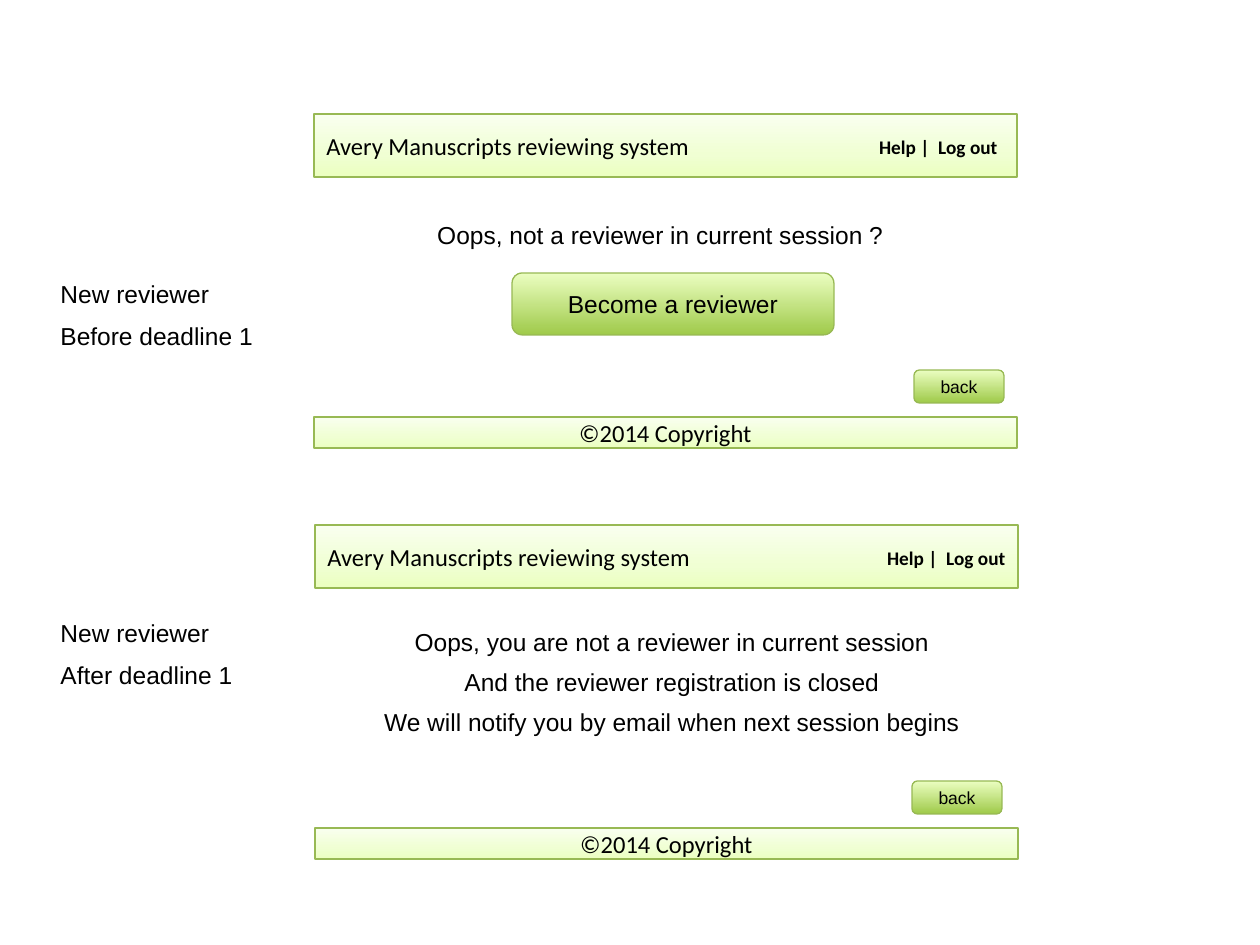
from lxml.etree import SubElement
from pptx import Presentation
from pptx.dml.color import RGBColor
from pptx.enum.shapes import MSO_SHAPE as SHAPE
from pptx.enum.text import MSO_ANCHOR as ANCHOR, PP_ALIGN as ALIGN
from pptx.oxml.ns import qn
from pptx.util import Pt

PX = 914400 / 126
BAR = [(0, "EBFFBF"), (35, "F0FFD3"), (100, "F9FFEF")]
BUTTON = [(0, "9FCA4A"), (100, "EBFEC1")]


def write(box, *lines, size=14, font="Arial", bold=False, align=ALIGN.LEFT,
          anchor=ANCHOR.MIDDLE, gap=0):
    frame = box.text_frame
    frame.word_wrap = True
    frame.vertical_anchor = anchor
    frame.text = "\n".join(lines)
    for number, para in enumerate(frame.paragraphs):
        para.alignment = align
        para.space_before = Pt(gap if number else 0)
        span = para.runs[0]
        span.font.size = Pt(size)
        span.font.name = font
        span.font.bold = bold
        span.font.color.rgb = RGBColor.from_string("000000")


def add_box(left, top, width, height, kind=None, stops=None):
    """Add a text box, or a preset shape with a bottom-to-top gradient."""
    place = [round(value * PX) for value in (left, top, width, height)]
    if kind is None:
        return page.shapes.add_textbox(*place)
    box = page.shapes.add_shape(kind, *place)
    box.shadow.inherit = False
    box.line.color.rgb = RGBColor.from_string("98B954")
    box.line.width = Pt(0.75)
    box.fill.gradient()
    box.fill.gradient_angle = 90
    stop_list = box._element.spPr.find(qn("a:gradFill")).find(qn("a:gsLst"))
    stop_list.clear()
    for position, color in stops:
        stop = SubElement(stop_list, qn("a:gs"), pos=str(position * 1000))
        SubElement(stop, qn("a:srgbClr"), val=color)
    return box


deck = Presentation()
deck.slide_width = round(1260 * PX)
deck.slide_height = round(945 * PX)
page = deck.slides.add_slide(deck.slide_layouts[6])

# Two screens: left, top, menu left, back button left, label top, deadline label
screens = [
    (314, 114, 829, 914, 273, "Before deadline 1"),
    (315, 525, 837, 912, 612, "After deadline 1"),
]
for left, top, menu_left, back_left, label_top, deadline in screens:
    header = add_box(left, top, 703, 63, SHAPE.RECTANGLE, BAR)
    write(header, "Avery Manuscripts reviewing system", font="Calibri")
    menu = add_box(menu_left, top + 19, 181, 28)
    write(menu, "Help |  Log out", size=11, font="Calibri", bold=True, align=ALIGN.RIGHT)
    back = add_box(back_left, top + 256, 90, 33, SHAPE.ROUNDED_RECTANGLE, BUTTON)
    write(back, "back", size=10, align=ALIGN.CENTER)
    footer = add_box(left, top + 303, 703, 31, SHAPE.RECTANGLE, BAR)
    write(footer, "©2014 Copyright", font="Calibri", align=ALIGN.CENTER)
    for row, label in enumerate(("New reviewer", deadline)):
        write(add_box(48, label_top + 42 * row, 246, 43), label, anchor=ANCHOR.TOP)

question = add_box(408, 214, 505, 43)
write(question, "Oops, not a reviewer in current session ?",
      align=ALIGN.CENTER, anchor=ANCHOR.TOP)
join = add_box(512, 273, 322, 62, SHAPE.ROUNDED_RECTANGLE, BUTTON)
write(join, "Become a reviewer", align=ALIGN.CENTER)
notice = add_box(364, 621, 616, 123)
write(notice, "Oops, you are not a reviewer in current session",
      "And the reviewer registration is closed",
      "We will notify you by email when next session begins",
      align=ALIGN.CENTER, anchor=ANCHOR.TOP, gap=6)

deck.save("out.pptx")
